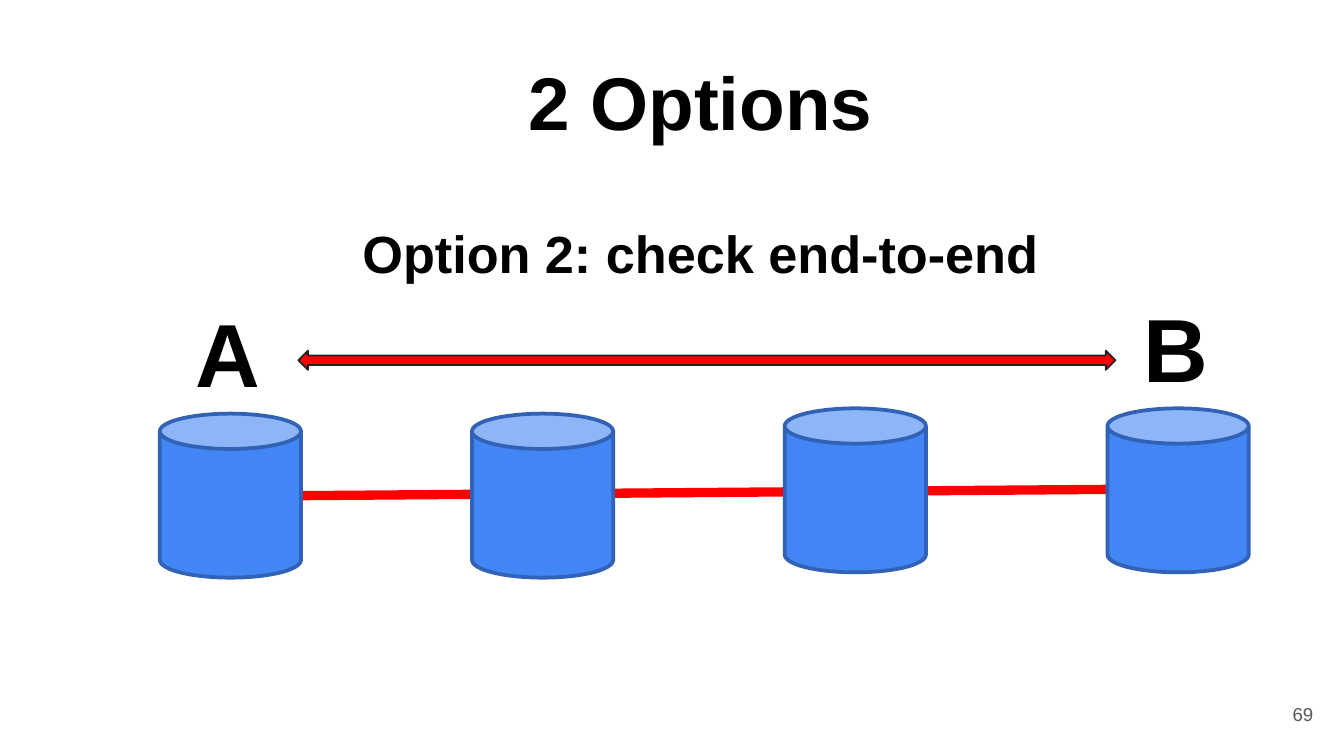
from lxml.etree import SubElement
from pptx import Presentation
from pptx.dml.color import RGBColor
from pptx.enum.shapes import MSO_CONNECTOR, MSO_SHAPE
from pptx.enum.text import MSO_ANCHOR, PP_ALIGN
from pptx.oxml.ns import qn
from pptx.util import Cm, Pt

COLORS = {
    "black": "000000", "gray": "595959", "red": "FF0000",
    "blue": "4285F4", "edge": "3162B5", "dark": "212121",
}


def add_solid(kind, left, top, width, height, fill, line, weight):
    """Add a filled, outlined preset shape without shadow."""
    shape = slide.shapes.add_shape(kind, Cm(left), Cm(top), Cm(width), Cm(height))
    shape.shadow.inherit = False
    shape.fill.solid()
    shape.fill.fore_color.rgb = RGBColor.from_string(COLORS[fill])
    shape.line.color.rgb = RGBColor.from_string(COLORS[line])
    shape.line.width = Pt(weight)


def add_text(text, left, top, width, height, size, align, color="black", bold=True):
    box = slide.shapes.add_textbox(Cm(left), Cm(top), Cm(width), Cm(height))
    frame = box.text_frame
    frame.word_wrap = True
    frame.text = text
    par = frame.paragraphs[0]
    par.alignment = align
    font = par.runs[0].font
    font.name = "Arial"
    font.size = Pt(size)
    font.bold = bold
    font.color.rgb = RGBColor.from_string(COLORS[color])
    return frame


deck = Presentation()
deck.slide_width = Cm(25.4)
deck.slide_height = Cm(14.29)
slide = deck.slides.add_slide(deck.slide_layouts[6])

# Link behind the nodes
link = slide.shapes.add_connector(
    MSO_CONNECTOR.STRAIGHT, Cm(5.69), Cm(9.37), Cm(20.93), Cm(9.25))
link.line.color.rgb = RGBColor.from_string(COLORS["red"])
link.line.width = Pt(5)
SubElement(link._element.spPr, qn("a:effectLst"))

# Nodes from A to B
for left, top in [(3.02, 7.82), (8.92, 7.82), (14.83, 7.72), (20.93, 7.72)]:
    add_solid(MSO_SHAPE.CAN, left, top, 2.67, 3.1, "blue", "edge", 2)

# Headings and end labels
add_text("2 Options", 5.64, 0.94, 15.19, 1.96, 40, PP_ALIGN.CENTER)
add_text("Option 2: check end-to-end", 5.64, 4.06, 15.19, 1.45, 28, PP_ALIGN.CENTER)
for name, left, top in [("A", 3.45, 5.51), ("B", 21.36, 5.41)]:
    add_text(name, left, top, 1.83, 2.29, 48, PP_ALIGN.LEFT)

# End-to-end check
add_solid(MSO_SHAPE.LEFT_RIGHT_ARROW, 5.64, 6.63, 15.44, 0.36, "red", "dark", 1)

# Page number
page = add_text("69", 23.55, 12.95, 1.52, 1.09, 10, PP_ALIGN.RIGHT, "gray", False)
page.vertical_anchor = MSO_ANCHOR.MIDDLE
page.margin_top = page.margin_bottom = Cm(0.25)

deck.save("out.pptx")
